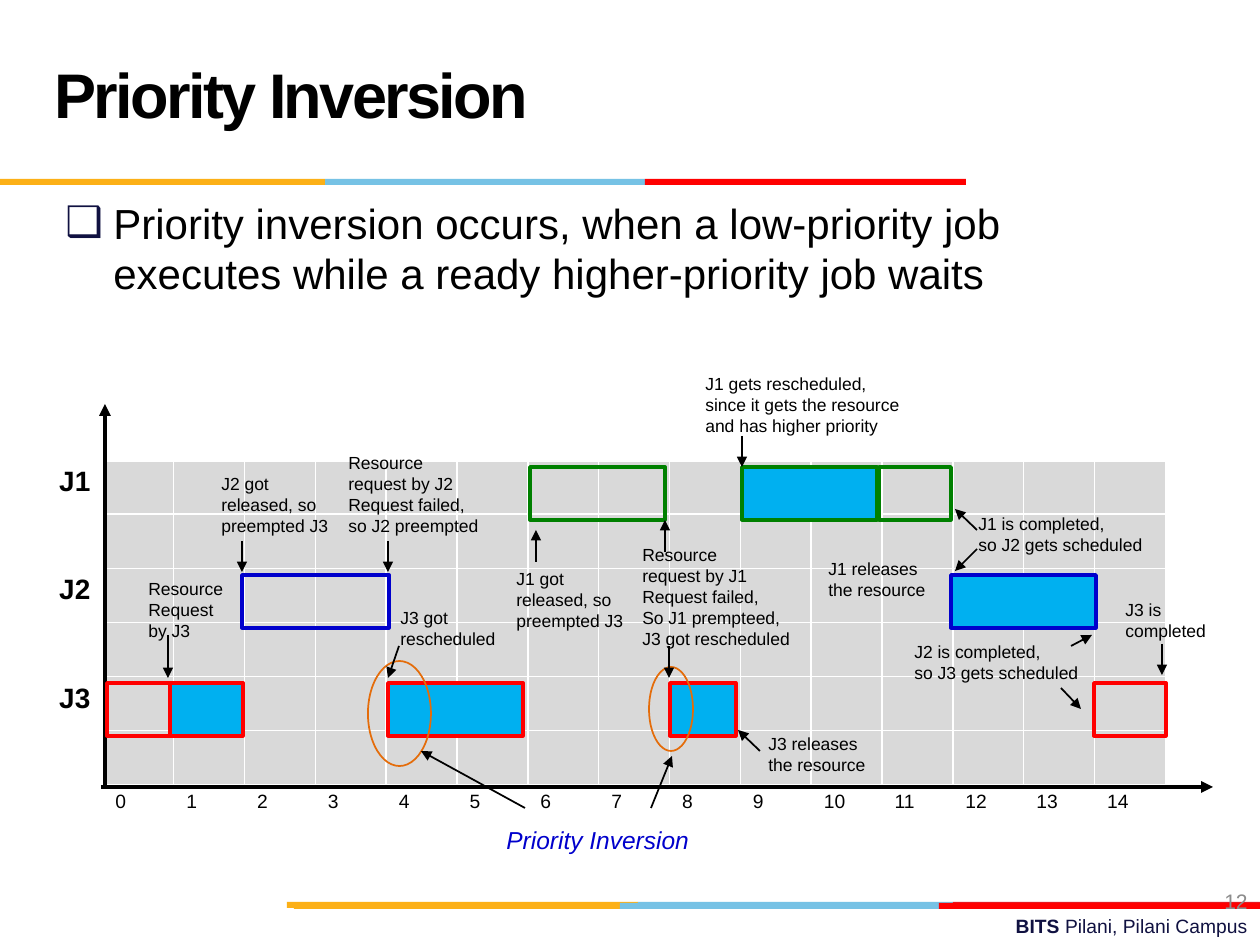
from lxml.etree import SubElement
from pptx import Presentation
from pptx.dml.color import RGBColor
from pptx.enum.shapes import MSO_CONNECTOR, MSO_SHAPE
from pptx.enum.text import MSO_ANCHOR, PP_ALIGN
from pptx.oxml.ns import qn
from pptx.util import Emu, Pt

SCALE = 914400 / 126
FONT = "Arial"
COLORS = {
    "black": "000000", "white": "FFFFFF", "navy": "101141", "gray": "8C8C8C",
    "grid": "D9D9D9", "yellow": "FCB017", "sky": "76C2E5", "crimson": "E31C24",
    "red": "FF0000", "green": "008000", "blue": "0000CC", "busy": "00B0F0",
    "orange": "E46C0A",
}
LANES = {"J1": (467, "green"), "J2": (575, "blue"), "J3": (683, "red")}
JOBS = [
    ("J1", 530, 135, None), ("J3", 107, 72, None), ("J2", 242, 147, None),
    ("J3", 170, 73, "busy"), ("J3", 388, 135, "busy"), ("J3", 670, 66, "busy"),
    ("J1", 742, 135, "busy"), ("J1", 879, 72, None), ("J2", 951, 145, "busy"),
    ("J3", 1094, 72, None),
]
NOTES = [
    (136, 572, 137, 77, "Resource\nRequest\nby J3"),
    (336, 446, 156, 97, "Resource\nrequest by J2\nRequest failed,\nso J2 preempted"),
    (209, 467, 137, 77, "J2 got released, so preempted J3"),
    (388, 601, 126, 55, "J3 got\nrescheduled"),
    (504, 562, 137, 77, "J1 got released, so preempted J3"),
    (630, 538, 174, 118,
     "Resource\nrequest by J1\nRequest failed,\nSo J1 prempteed,\nJ3 got rescheduled"),
    (756, 727, 129, 55, "J3 releases\nthe resource"),
    (693, 367, 226, 77,
     "J1 gets rescheduled,\nsince it gets the resource\nand has higher priority"),
    (816, 552, 129, 55, "J1 releases\nthe resource"),
    (966, 507, 195, 55, "J1 is completed,\nso J2 gets scheduled"),
    (902, 635, 190, 55, "J2 is completed,\nso J3 gets scheduled"),
    (1113, 593, 107, 55, "J3 is\ncompleted"),
]
ARROWS = [
    (168, 635, 168, 678), (388, 541, 388, 572), (242, 541, 242, 572),
    (399, 646, 388, 678), (536, 562, 536, 530), (665, 552, 665, 520),
    (669, 646, 669, 678), (760, 751, 738, 730), (742, 436, 742, 467),
    (977, 530, 955, 509), (977, 549, 955, 571), (1071, 646, 1092, 635),
    (1061, 688, 1081, 709), (1162, 644, 1162, 675),
    (525, 808, 421, 751), (651, 808, 672, 756),
]


def px(*values):
    """Turn pixel lengths into EMU."""
    return [Emu(round(v * SCALE)) for v in values]


def rgb(name):
    """Look up a named colour."""
    return RGBColor.from_string(COLORS[name])


def style_text(p, size, color, bold=False, italic=False, align=PP_ALIGN.LEFT):
    """Format a paragraph and its runs."""
    p.alignment = align
    for r in p.runs:
        r.font.name, r.font.size = FONT, Pt(size)
        r.font.bold, r.font.italic = bold, italic
        r.font.color.rgb = rgb(color)


def add_text(s, box, text, size, color, **style):
    """Add a text box and return its frame."""
    tf = s.shapes.add_textbox(*px(*box)).text_frame
    tf.text = text
    tf.word_wrap = len(tf.paragraphs) == 1
    for p in tf.paragraphs:
        style_text(p, size, color, **style)
    return tf


def add_box(s, kind, box, fill=None, line=None, width=1):
    """Add a preset shape with optional fill and outline."""
    sp = s.shapes.add_shape(kind, *px(*box))
    sp.shadow.inherit = False
    if fill:
        sp.fill.solid()
        sp.fill.fore_color.rgb = rgb(fill)
    else:
        sp.fill.background()
    if line:
        sp.line.color.rgb = rgb(line)
        sp.line.width = Pt(width)
    else:
        sp.line.fill.background()


def add_stripe(s, y, edges, colors):
    """Add a row of coloured bars between successive edges."""
    for left, right, color in zip(edges, edges[1:], colors):
        add_box(s, MSO_SHAPE.RECTANGLE, (left, y, right - left, 6), color)


def add_arrow(s, ends, width=1):
    """Add a black line with a triangle at its end."""
    c = s.shapes.add_connector(MSO_CONNECTOR.STRAIGHT, *px(*ends))
    c.line.color.rgb = rgb("black")
    c.line.width = Pt(width)
    SubElement(c.line._get_or_add_ln(), qn("a:tailEnd"), type="triangle")
    SubElement(c._element.spPr, qn("a:effectLst"))


def set_borders(cell, bottom):
    """Draw white cell borders, with a given bottom width."""
    tcPr = cell._tc.get_or_add_tcPr()
    for side in "LRTB":
        width = Pt(bottom if side == "B" else 1)
        ln = SubElement(tcPr, qn(f"a:ln{side}"), w=str(width))
        fill = SubElement(ln, qn("a:solidFill"))
        SubElement(fill, qn("a:srgbClr"), val=COLORS["white"])


def add_grid(s):
    """Add the time grid with job names and time marks."""
    rows, cols = 8, 16
    table = s.shapes.add_table(rows, cols, *px(32, 406, 1134, 433)).table
    table.first_row = table.horz_banding = False
    for col in table.columns:
        col.width = px(1134 / cols)[0]
    for row in table.rows:
        row.height = px(433 / rows)[0]
    for i in range(rows):
        for j in range(cols):
            cell = table.cell(i, j)
            set_borders(cell, 1 if i else 3)
            if j and 0 < i < rows - 1:
                cell.fill.solid()
                cell.fill.fore_color.rgb = rgb("grid")
            else:
                cell.fill.background()
            if j and i == rows - 1:
                cell.text = str(j - 1)
                style_text(cell.text_frame.paragraphs[0], 11, "black")
    for n, job in enumerate(LANES):
        cell = table.cell(2 * n + 1, 0)
        cell.text = job
        style_text(cell.text_frame.paragraphs[0], 16, "black", bold=True,
                   align=PP_ALIGN.RIGHT)


def add_title(s, text):
    """Place and format the title."""
    sp = s.shapes.title
    sp.left, sp.top, sp.width, sp.height = px(42, 21, 872, 157)
    tf = sp.text_frame
    tf.text = text
    tf.vertical_anchor = MSO_ANCHOR.MIDDLE
    p = tf.paragraphs[0]
    p.line_spacing = Pt(36)
    style_text(p, 36, "black", bold=True)
    p.runs[0].font._element.set("spc", "-150")


def add_bullet(s, text):
    """Add the bulleted statement."""
    tf = add_text(s, (53, 191, 1120, 126), text, 24, "black")
    pPr = tf.paragraphs[0]._p.get_or_add_pPr()
    indent = px(48)[0]
    pPr.set("marL", str(indent))
    pPr.set("indent", str(-indent))
    color = SubElement(pPr, qn("a:buClr"))
    SubElement(color, qn("a:srgbClr"), val=COLORS["navy"])
    SubElement(pPr, qn("a:buFont"), typeface=FONT)
    SubElement(pPr, qn("a:buChar"), char="❑")


def add_footer(s):
    """Add the campus line and the page number."""
    tf = add_text(s, (451, 908, 809, 37), "", 11, "navy")
    p = tf.paragraphs[0]
    for text in ("BITS ", "Pilani, Pilani Campus"):
        p.add_run().text = text
    style_text(p, 11, "navy", align=PP_ALIGN.RIGHT)
    p.runs[0].font.bold = True
    tf = add_text(s, (966, 876, 294, 50), "12", 12, "gray", align=PP_ALIGN.RIGHT)
    tf.vertical_anchor = MSO_ANCHOR.MIDDLE


def main():
    """Build the slide."""
    prs = Presentation()
    prs.slide_width, prs.slide_height = px(1260, 945)
    s = prs.slides.add_slide(prs.slide_layouts[5])
    add_stripe(s, 902, (287, 638, 953, 1260), ("yellow", "sky", "crimson"))
    add_stripe(s, 903, (294, 620, 939, 1260), ("yellow", "sky", "red"))
    add_stripe(s, 179, (0, 325, 645, 966), ("yellow", "sky", "red"))
    add_footer(s)
    add_title(s, "Priority Inversion")
    add_bullet(s, "Priority inversion occurs, when a low-priority job executes "
                  "while a ready higher-priority job waits")
    add_grid(s)
    for axis in ((105, 787, 105, 404), (101, 787, 1213, 787)):
        add_arrow(s, axis, 2.25)
    for job, left, width, fill in JOBS:
        top, color = LANES[job]
        add_box(s, MSO_SHAPE.RECTANGLE, (left, top, width, 53), fill, color, 2)
    for *box, text in NOTES:
        add_text(s, box, text, 10, "black")
    for oval in ((368, 661, 63, 105), (649, 667, 44, 84)):
        add_box(s, MSO_SHAPE.OVAL, oval, line="orange")
    add_text(s, (494, 819, 215, 43), "Priority Inversion", 14, "blue", italic=True)
    for ends in ARROWS:
        add_arrow(s, ends)
    prs.save("out.pptx")


if __name__ == "__main__":
    main()
